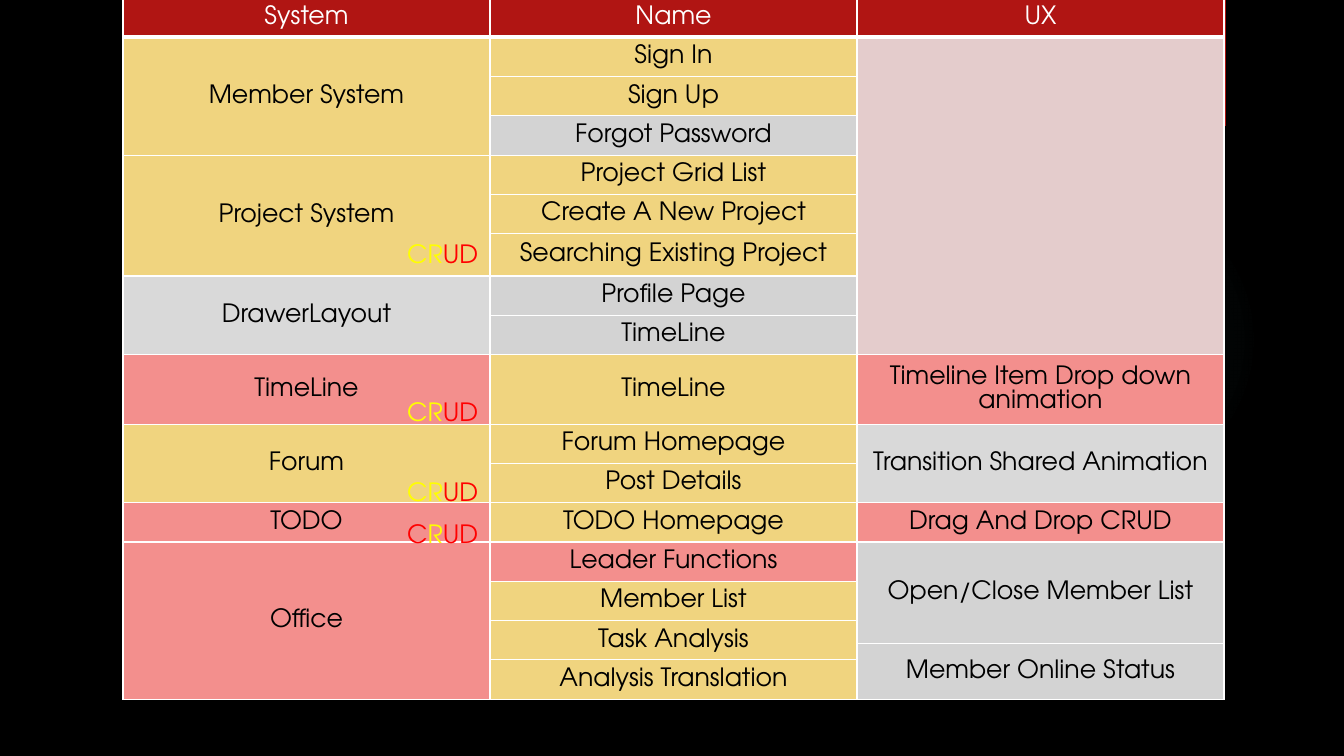
from dataclasses import dataclass

from lxml.etree import SubElement
from pptx import Presentation
from pptx.dml.color import RGBColor
from pptx.enum.shapes import MSO_SHAPE
from pptx.enum.text import MSO_ANCHOR, MSO_AUTO_SIZE, PP_ALIGN
from pptx.oxml import parse_xml
from pptx.oxml.ns import nsdecls, qn
from pptx.util import Inches, Pt


@dataclass(frozen=True)
class Theme:
    font: str = "TeX Gyre Adventor"
    size: int = 18
    border: int = 1
    header_border: int = 3
    black: str = "000000"
    white: str = "FFFFFF"
    header: str = "B01513"
    glow: str = "50B9C1"
    gold: str = "F0D47F"
    silver: str = "D3D3D3"
    grey: str = "D9D9D9"
    coral: str = "F38F8D"
    blush: str = "E4CCCC"
    yellow: str = "FFFF00"
    red: str = "FF0000"


THEME = Theme()
COLUMN_WIDTH = 3.64
ROW_HEIGHT = 0.39
SPECIAL_HEIGHTS = {6: 0.42, 9: 0.69, 15: 0.23, 16: 0.16}
ROW_HEIGHTS = [SPECIAL_HEIGHTS.get(row, ROW_HEIGHT) for row in range(18)]
HEADERS = ["System", "Name", "UX"]

COLUMNS = [
    [
        ("Member System", THEME.gold, 3),
        ("Project System", THEME.gold, 3),
        ("DrawerLayout", THEME.grey, 2),
        ("TimeLine", THEME.coral, 1),
        ("Forum", THEME.gold, 2),
        ("TODO", THEME.coral, 1),
        ("Office", THEME.coral, 5),
    ],
    [
        ("Sign In", THEME.gold, 1),
        ("Sign Up", THEME.gold, 1),
        ("Forgot Password", THEME.silver, 1),
        ("Project Grid List", THEME.gold, 1),
        ("Create A New Project", THEME.gold, 1),
        ("Searching Existing Project", THEME.gold, 1),
        ("Profile Page", THEME.silver, 1),
        ("TimeLine", THEME.silver, 1),
        ("TimeLine", THEME.gold, 1),
        ("Forum Homepage", THEME.gold, 1),
        ("Post Details", THEME.gold, 1),
        ("TODO Homepage", THEME.gold, 1),
        ("Leader Functions", THEME.coral, 1),
        ("Member List", THEME.gold, 1),
        ("Task Analysis", THEME.gold, 2),
        ("Analysis Translation", THEME.gold, 1),
    ],
    [
        ("", THEME.blush, 8),
        ("Timeline Item Drop down animation", THEME.coral, 1),
        ("Transition Shared Animation", THEME.grey, 2),
        ("Drag And Drop CRUD", THEME.coral, 1),
        ("Open/Close Member List", THEME.silver, 3),
        ("Member Online Status", THEME.silver, 2),
    ],
]

CREATE_READ_DONE = [("CR", THEME.yellow), ("UD", THEME.red)]
READ_DONE = [("C", THEME.red), ("R", THEME.yellow), ("UD", THEME.red)]
CRUD_LABELS = [
    (3.88, CREATE_READ_DONE),
    (4.68, CREATE_READ_DONE),
    (5.09, READ_DONE),
    (2.32, CREATE_READ_DONE),
]


def apply_format(target, values):
    for name, value in values.items():
        setattr(target, name, value)


def add_run(paragraph, text, color):
    run = paragraph.add_run()
    run.text = text
    apply_format(run.font, {"name": THEME.font, "size": Pt(THEME.size)})
    run.font.color.rgb = RGBColor.from_string(color)


def add_decoration(slide, kind, left, top, width, height, color):
    shape = slide.shapes.add_shape(kind, Inches(left), Inches(top), Inches(width), Inches(height))
    shape.shadow.inherit = False
    shape.line.fill.background()
    shape.fill.solid()
    shape.fill.fore_color.rgb = RGBColor.from_string(color)
    return shape


def add_glow(slide):
    shape = add_decoration(slide, MSO_SHAPE.OVAL, 9.41, 1.83, 3.08, 3.08, THEME.glow)
    stops = "".join(
        f'<a:gs pos="{position * 1000}"><a:srgbClr val="{THEME.glow}">'
        f'<a:alpha val="{alpha * 1000}"/></a:srgbClr></a:gs>'
        for position, alpha in [(0, 7), (36, 6), (69, 0), (100, 0)]
    )
    gradient = parse_xml(
        f'<a:gradFill {nsdecls("a")}><a:gsLst>{stops}</a:gsLst><a:path path="circle">'
        '<a:fillToRect l="50000" t="50000" r="50000" b="50000"/></a:path></a:gradFill>'
    )
    properties = shape.element.spPr
    properties.replace(properties.find(qn("a:solidFill")), gradient)


def set_borders(cell, bottom_width):
    properties = cell._tc.get_or_add_tcPr()
    widths = {"lnL": THEME.border, "lnR": THEME.border, "lnT": THEME.border, "lnB": bottom_width}
    for edge, width in widths.items():
        line = SubElement(properties, qn(f"a:{edge}"), w=str(Pt(width)))
        SubElement(SubElement(line, qn("a:solidFill")), qn("a:srgbClr"), val=THEME.white)


def format_cell(cell, fill, bottom_width=THEME.border):
    set_borders(cell, bottom_width)
    cell.fill.solid()
    cell.fill.fore_color.rgb = RGBColor.from_string(fill)
    cell.vertical_anchor = MSO_ANCHOR.MIDDLE


def write_cell(cell, text, color):
    paragraph = cell.text_frame.paragraphs[0]
    paragraph.alignment = PP_ALIGN.CENTER
    if text:
        add_run(paragraph, text, color)


def add_feature_table(slide):
    frame = slide.shapes.add_table(
        len(ROW_HEIGHTS), len(COLUMNS), Inches(1.22), Inches(-0.02),
        Inches(COLUMN_WIDTH * len(COLUMNS)), Inches(sum(ROW_HEIGHTS)),
    )
    table = frame.table
    for row, height in zip(table.rows, ROW_HEIGHTS):
        row.height = Inches(height)
    for column, (header, entries) in enumerate(zip(HEADERS, COLUMNS)):
        table.columns[column].width = Inches(COLUMN_WIDTH)
        format_cell(table.cell(0, column), THEME.header, THEME.header_border)
        write_cell(table.cell(0, column), header, THEME.white)
        row = 1
        for text, fill, span in entries:
            for offset in range(span):
                format_cell(table.cell(row + offset, column), fill)
            cell = table.cell(row, column)
            if span > 1:
                cell.merge(table.cell(row + span - 1, column))
            write_cell(cell, text, THEME.black)
            row += span


def add_crud_label(slide, top, parts):
    box = slide.shapes.add_textbox(Inches(3.94), Inches(top), Inches(0.91), Inches(0.4))
    apply_format(box.text_frame, {"word_wrap": False, "auto_size": MSO_AUTO_SIZE.SHAPE_TO_FIT_TEXT})
    for text, color in parts:
        add_run(box.text_frame.paragraphs[0], text, color)


def main():
    presentation = Presentation()
    apply_format(presentation, {"slide_width": Inches(13.33), "slide_height": Inches(7.5)})
    slide = presentation.slides.add_slide(presentation.slide_layouts[6])
    slide.background.fill.solid()
    slide.background.fill.fore_color.rgb = RGBColor.from_string(THEME.black)
    add_glow(slide)
    add_decoration(slide, MSO_SHAPE.RECTANGLE, 11.41, 0, 0.75, 1.25, THEME.header)
    add_feature_table(slide)
    for top, parts in CRUD_LABELS:
        add_crud_label(slide, top, parts)
    presentation.save("out.pptx")


if __name__ == "__main__":
    main()
